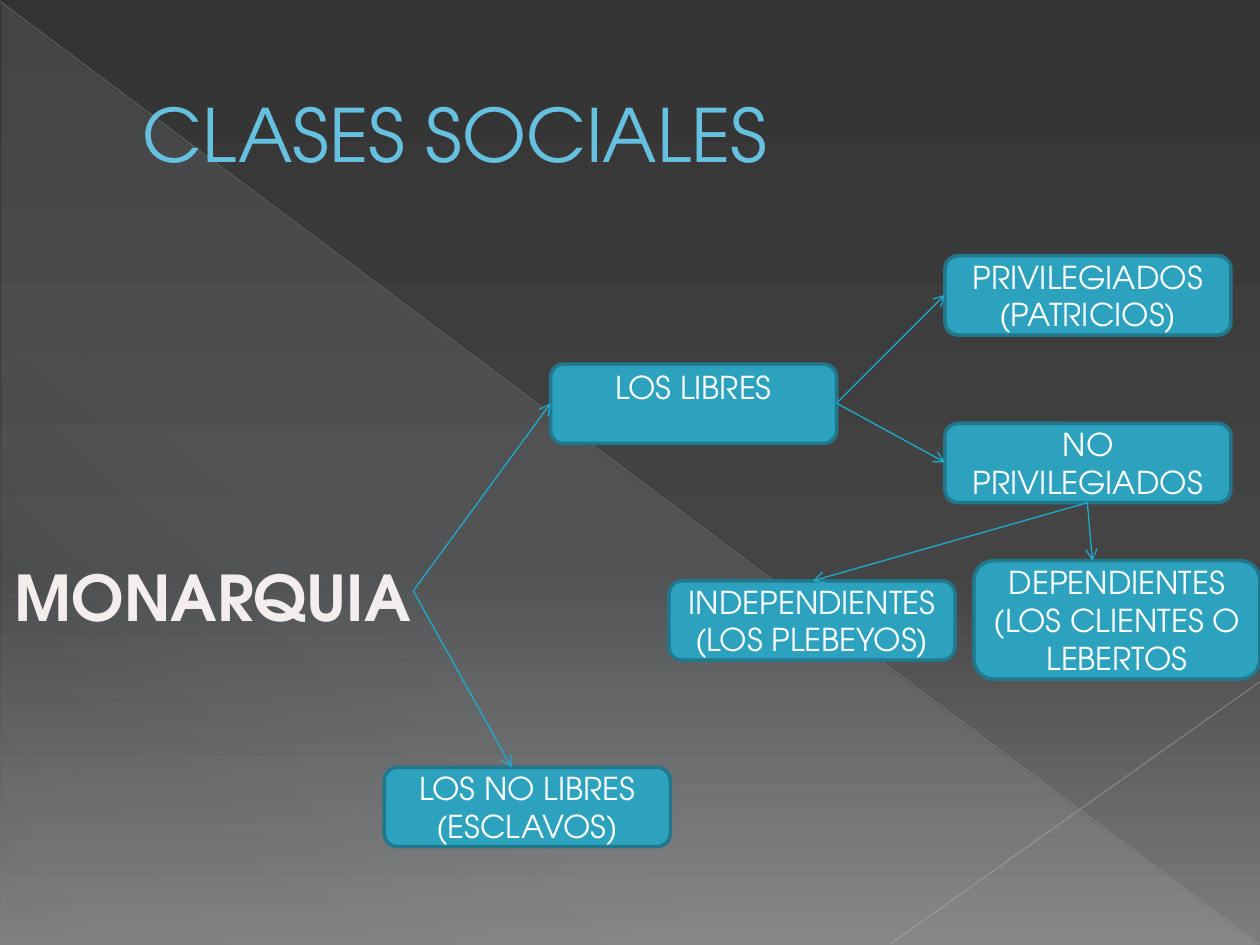
from lxml.etree import SubElement
from pptx import Presentation
from pptx.dml.color import RGBColor
from pptx.enum.shapes import MSO_CONNECTOR, MSO_SHAPE
from pptx.enum.text import MSO_ANCHOR, PP_ALIGN
from pptx.oxml.ns import qn
from pptx.util import Inches, Pt

FONT = "TeX Gyre Adventor"
COLORS = {
    "title": "66C0E0", "root": "F3EDEE", "text": "FFFFFF",
    "box": "2DA2BF", "border": "21788D", "arrow": "1EABCE",
    "diagonal": "B9B9B9", "corner": "C1C1C1",
}
BACKGROUND = [(0, "333333", 100), (60, "444444", 100), (100, "7D7D7D", 100)]
SHEEN = [(0, "DEF5FA", 10), (70, "DEF5FA", 8), (100, "DEF5FA", 1)]
BOX_W, BOX_H = 2.27, 0.63
BOXES = [
    (4.37, 2.89, BOX_H, MSO_ANCHOR.TOP, ["LOS LIBRES"]),
    (7.5, 3.36, BOX_H, MSO_ANCHOR.MIDDLE, ["NO PRIVILEGIADOS"]),
    (7.5, 2.03, BOX_H, MSO_ANCHOR.MIDDLE, ["PRIVILEGIADOS", "(PATRICIOS)"]),
    (3.05, 6.09, BOX_H, MSO_ANCHOR.MIDDLE, ["LOS NO LIBRES", "(ESCLAVOS)"]),
    (7.73, 4.45, 0.94, MSO_ANCHOR.MIDDLE, ["DEPENDIENTES", "(LOS CLIENTES O LEBERTOS"]),
    (5.31, 4.61, BOX_H, MSO_ANCHOR.MIDDLE, ["INDEPENDIENTES", "(LOS PLEBEYOS)"]),
]
BRANCHES = [
    ((3.28, 4.69), [(4.37, 3.2), (4.06, 6.09)]),
    ((6.64, 3.2), [(7.5, 2.34), (7.5, 3.67)]),
    ((8.63, 3.99), [(6.45, 4.61), (8.67, 4.45)]),
]


def rgb(name):
    return RGBColor.from_string(COLORS[name])


def set_gradient(fill, parent, stops, angle):
    fill.solid()
    solid = next(parent.iter(qn("a:solidFill")))
    grad = solid.makeelement(qn("a:gradFill"), {"rotWithShape": "1"})
    gs_list = SubElement(grad, qn("a:gsLst"))
    for pos, color, alpha in stops:
        gs = SubElement(gs_list, qn("a:gs"), pos=str(pos * 1000))
        clr = SubElement(gs, qn("a:srgbClr"), val=color)
        SubElement(clr, qn("a:alpha"), val=str(alpha * 1000))
    SubElement(grad, qn("a:lin"), ang=str(angle * 60000), scaled="0")
    solid.getparent().replace(solid, grad)


def add_line(s, start, end, color, width, alpha=100, arrow=False):
    points = [Inches(v) for v in (*start, *end)]
    line = s.shapes.add_connector(MSO_CONNECTOR.STRAIGHT, *points)
    line.line.color.rgb = rgb(color)
    line.line.width = Pt(width)
    sp_pr = line._element.spPr
    clr = next(sp_pr.iter(qn("a:srgbClr")))
    SubElement(clr, qn("a:alpha"), val=str(alpha * 1000))
    if arrow:
        SubElement(sp_pr.find(qn("a:ln")), qn("a:tailEnd"), type="arrow")
    SubElement(sp_pr, qn("a:effectLst"))


def write(tf, lines, size, color, align, anchor, bold=False):
    tf.vertical_anchor = anchor
    for i, text in enumerate(lines):
        p = tf.add_paragraph() if i else tf.paragraphs[0]
        p.alignment = align
        r = p.add_run()
        r.text = text
        r.font.name = FONT
        r.font.size = Pt(size)
        r.font.bold = bold
        r.font.color.rgb = rgb(color)


def add_box(s, left, top, height, anchor, lines):
    sp = s.shapes.add_shape(MSO_SHAPE.ROUNDED_RECTANGLE, Inches(left), Inches(top),
                            Inches(BOX_W), Inches(height))
    sp.shadow.inherit = False
    sp.fill.solid()
    sp.fill.fore_color.rgb = rgb("box")
    sp.line.color.rgb = rgb("border")
    sp.line.width = Pt(2)
    tf = sp.text_frame
    tf.word_wrap = True
    if anchor == MSO_ANCHOR.TOP:
        tf.margin_top = 0
    write(tf, lines, 18, "text", PP_ALIGN.CENTER, anchor)


def main():
    """Build the slide on the social classes of the monarchy."""
    prs = Presentation()
    prs.slide_width, prs.slide_height = Inches(10), Inches(7.5)
    s = prs.slides.add_slide(prs.slide_layouts[6])
    set_gradient(s.background.fill, s._element, BACKGROUND, 90)

    sheen = s.shapes.add_shape(MSO_SHAPE.RIGHT_TRIANGLE, Inches(0.01), Inches(0.02),
                               Inches(9.98), Inches(7.48))
    sheen.shadow.inherit = False
    sheen.line.fill.background()
    set_gradient(sheen.fill, sheen._element.spPr, SHEEN, 133)
    add_line(s, (0, 0.01), (9.99, 7.49), "diagonal", 0.39, 35)
    add_line(s, (10, 5.41), (7.07, 7.49), "corner", 0.47, 45)

    title = s.shapes.add_textbox(Inches(0.5), Inches(0.29), Inches(9), Inches(1.53))
    tf = title.text_frame
    tf.word_wrap = True
    tf.margin_left = Inches(0.63)
    write(tf, ["CLASES SOCIALES"], 42, "title", PP_ALIGN.LEFT, MSO_ANCHOR.MIDDLE)

    for box in BOXES:
        add_box(s, *box)
    for start, ends in BRANCHES:
        for end in ends:
            add_line(s, start, end, "arrow", 0.75, arrow=True)

    root = s.shapes.add_textbox(Inches(0), Inches(4.38), Inches(3.38), Inches(0.71))
    root.text_frame.word_wrap = False
    write(root.text_frame, ["MONARQUIA"], 36, "root", PP_ALIGN.CENTER, MSO_ANCHOR.TOP, True)

    prs.save("out.pptx")


if __name__ == "__main__":
    main()
